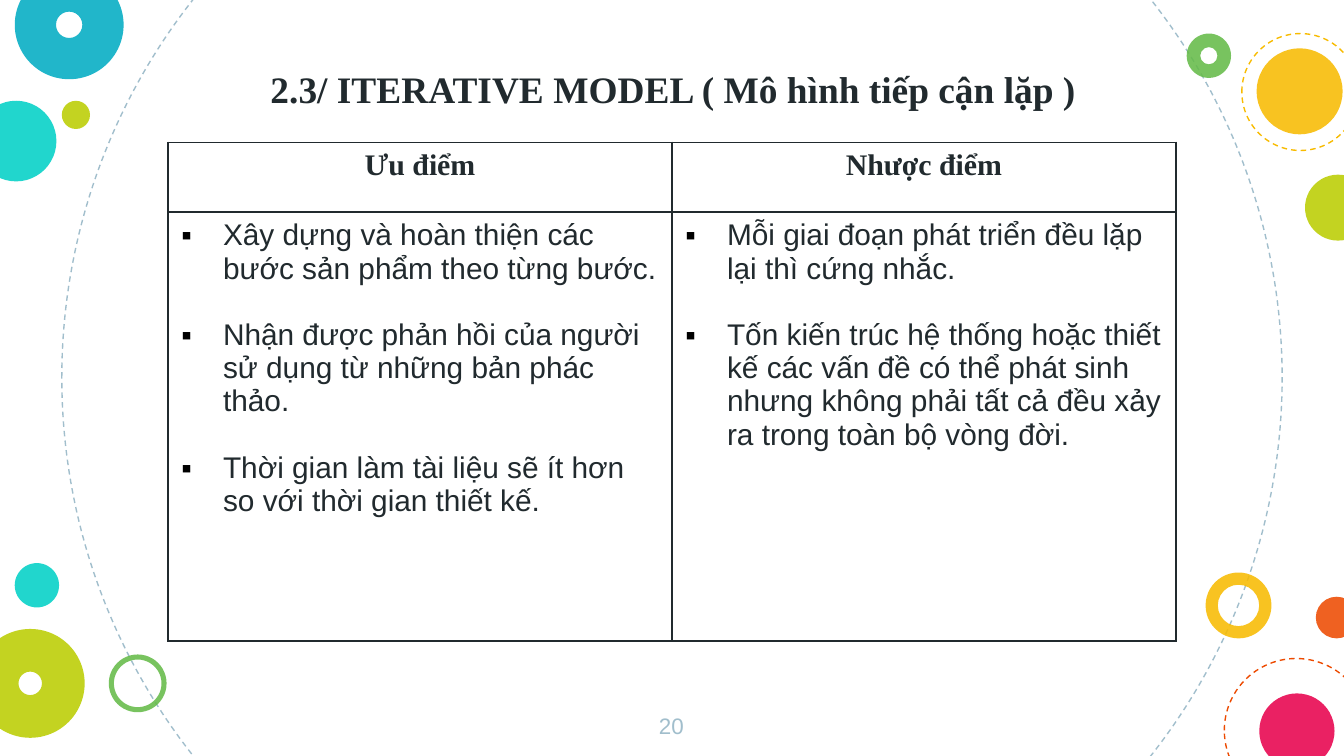
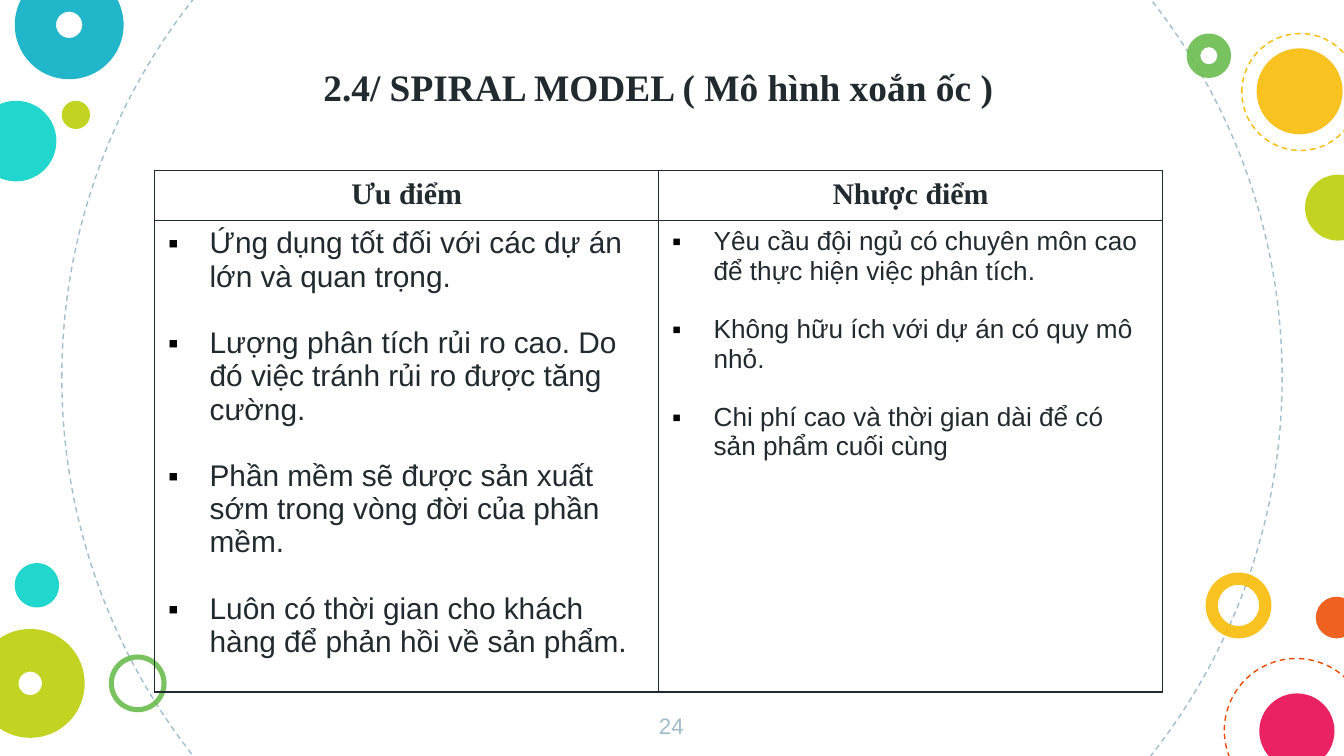
import pptx
import pptx.util
import pptx.dml.color
import pptx.enum.dml
import pptx.enum.shapes
import pptx.enum.text
import pptx.oxml
import pptx.oxml.ns
from dataclasses import dataclass

Inches, Pt = pptx.util.Inches, pptx.util.Pt
Align = pptx.enum.text.PP_ALIGN


@dataclass(frozen=True)
class Theme:
    ink: str = "212A2E"
    mist: str = "A1BECC"
    dot: str = "000000"
    aqua: str = "00D1C6"
    teal: str = "00ACC3"
    lime: str = "BBCD00"
    green: str = "65BB48"
    gold: str = "F8BB00"
    rust: str = "ED4A00"
    pink: str = "E8004C"
    serif: str = "Times New Roman"
    sans: str = "Arial"
    title: int = 20
    body: int = 16
    small: int = 14
    page: int = 12
    opaque: int = 87


T = Theme()

# Left, top, size, colour, ring width (None is a full disc), dashed outline
CIRCLES = [
    (0.46, -1.73, 9.08, T.mist, None, True),
    (-0.18, 0.75, 0.6, T.aqua, None, False),
    (8.97, 4.26, 0.49, T.gold, 0.186, False),
    (0.11, -0.22, 0.81, T.teal, 0.379, False),
    (0.46, 0.75, 0.21, T.lime, None, False),
    (9.11, 4.9, 1.07, T.rust, None, True),
    (0.81, 4.87, 0.43, T.green, 0.088, False),
    (9.79, 4.44, 0.31, T.rust, None, False),
    (-0.18, 4.68, 0.81, T.lime, 0.392, False),
    (9.37, 5.16, 0.56, T.pink, None, False),
    (8.83, 0.25, 0.33, T.green, 0.306, False),
    (9.35, 0.36, 0.64, T.gold, None, False),
    (9.71, 1.3, 0.49, T.lime, None, False),
    (9.24, 0.25, 0.87, T.gold, None, True),
    (0.11, 4.19, 0.33, T.aqua, None, False),
]

HEADS = ["Ưu điểm", "Nhược điểm"]

SLIDES = [
    dict(
        title="2.3/ ITERATIVE MODEL ( Mô hình tiếp cận lặp )",
        place=(1.25, 0.44, 7.52, 0.44),
        page="20",
        grid=(1.25, 1.06, 7.5, 3.71),
        head=0.52,
        sizes=[T.body, T.body],
        lists=[
            ["Xây dựng và hoàn thiện các bước sản phẩm theo từng bước.",
             "Nhận được phản hồi của người sử dụng từ những bản phác thảo.",
             "Thời gian làm tài liệu sẽ ít hơn so với thời gian thiết kế."],
            ["Mỗi giai đoạn phát triển đều lặp lại thì cứng nhắc.",
             "Tốn kiến trúc hệ thống hoặc thiết kế các vấn đề có thể phát sinh "
             "nhưng không phải tất cả đều xảy ra trong toàn bộ vòng đời."],
        ],
    ),
    dict(
        title="2.4/ SPIRAL MODEL ( Mô hình xoắn ốc )",
        place=(1.07, 0.43, 7.66, 0.44),
        page="24",
        grid=(1.15, 1.27, 7.5, 3.75),
        head=0.37,
        sizes=[T.body, T.small],
        lists=[
            ["Ứng dụng tốt đối với các dự án lớn và quan trọng.",
             "Lượng phân tích rủi ro cao. Do đó việc tránh rủi ro được tăng cường.",
             "Phần mềm sẽ được sản xuất sớm trong vòng đời của phần mềm.",
             "Luôn có thời gian cho khách hàng để phản hồi về sản phẩm."],
            ["Yêu cầu đội ngủ có chuyên môn cao để thực hiện việc phân tích.",
             "Không hữu ích với dự án có quy mô nhỏ.",
             "Chi phí cao và thời gian dài để có sản phẩm cuối cùng"],
        ],
    ),
]


def paint(color):
    return pptx.dml.color.RGBColor.from_string(color)


def node(xml):
    """Parse a drawing fragment whose root tag has the a: prefix."""
    tag, rest = xml[1:].split(" ", 1)
    return pptx.oxml.parse_xml(f'<{tag} {pptx.oxml.ns.nsdecls("a")} {rest}')


def mark(para):
    """Give a paragraph a square bullet and a hanging indent."""
    props = para._p.get_or_add_pPr()
    props.set("marL", str(Inches(0.31)))
    props.set("indent", str(-Inches(0.31)))
    props.append(node(f'<a:buClr ><a:srgbClr val="{T.dot}"/></a:buClr>'))
    props.append(node(f'<a:buFont typeface="{T.sans}"/>'))
    props.append(node('<a:buChar char="▪"/>'))


def write(frame, lines, size=T.body, font=T.sans, color=T.ink, bold=False,
          align=Align.CENTER, bullet=False, gap=0):
    """Write each line as a paragraph, with a gap between paragraphs."""
    frame.word_wrap = True
    for i, line in enumerate(lines):
        para = frame.paragraphs[0] if i == 0 else frame.add_paragraph()
        para.alignment = align
        if gap and i < len(lines) - 1:
            para.space_after = Pt(gap)
        if bullet:
            mark(para)
        run = para.add_run()
        run.text = line
        run.font.size, run.font.name, run.font.bold = Pt(size), font, bold
        run.font.color.rgb = paint(color)


def label(slide, box, text, inset=None, **style):
    shape = slide.shapes.add_textbox(*map(Inches, box))
    frame = shape.text_frame
    if inset is not None:
        frame.margin_left = frame.margin_right = Inches(inset)
        frame.margin_top = frame.margin_bottom = Inches(inset)
    write(frame, [text], **style)
    return frame


def circle(slide, left, top, size, color, ring, dashed):
    kinds = pptx.enum.shapes.MSO_SHAPE
    shape = slide.shapes.add_shape(
        kinds.DONUT if ring else kinds.OVAL,
        *map(Inches, (left, top, size, size)))
    shape.shadow.inherit = False
    if ring:
        shape.adjustments[0] = ring
    if dashed:
        shape.fill.background()
        shape.line.color.rgb = paint(color)
        shape.line.width = Pt(0.75)
        shape.line.dash_style = pptx.enum.dml.MSO_LINE.DASH
    else:
        shape.fill.solid()
        shape.fill.fore_color.rgb = paint(color)
        tint = shape.fill._xPr.find(".//" + pptx.oxml.ns.qn("a:srgbClr"))
        tint.append(node(f'<a:alpha val="{T.opaque * 1000}"/>'))
        shape.line.fill.background()
    return shape


def adorn(slide, layout):
    """Draw the circles once and hand them to the shared layout."""
    for holder in list(layout.placeholders):
        layout.shapes.element.remove(holder.element)
    for item in CIRCLES:
        layout.shapes.element.append(circle(slide, *item).element)


def frame_cell(cell):
    """Clear the fill and draw a thin line on all four sides."""
    cell.fill.background()
    props = cell._tc.get_or_add_tcPr()
    for i, side in enumerate("LRTB"):
        props.insert(i, node(
            f'<a:ln{side} w="{Pt(1)}"><a:solidFill><a:srgbClr val="{T.ink}"/>'
            f'</a:solidFill><a:prstDash val="solid"/></a:ln{side}>'))


def compare(slide, box, head, lists, sizes):
    """Place the table of pros and cons."""
    left, top, width, height = box
    table = slide.shapes.add_table(
        2, len(HEADS), *map(Inches, (left, top, width, height))).table
    table.horz_banding = False
    table.rows[0].height = Inches(head)
    table.rows[1].height = Inches(height - head)
    for col, (name, points, size) in enumerate(zip(HEADS, lists, sizes)):
        table.columns[col].width = Inches(width / len(HEADS))
        top_cell, low_cell = table.cell(0, col), table.cell(1, col)
        frame_cell(top_cell)
        frame_cell(low_cell)
        write(top_cell.text_frame, [name], font=T.serif, bold=True)
        # The gap equals one line of text
        write(low_cell.text_frame, points, size=size, align=Align.LEFT,
              bullet=True, gap=round(size * 1.117, 1))


def build(slide, data):
    # Page number
    label(slide, (4.74, 5.2, 0.51, 0.43), data["page"], inset=0.1,
          size=T.page, color=T.mist)
    # Table, which ends above the page number
    compare(slide, data["grid"], data["head"], data["lists"], data["sizes"])
    # Title
    frame = label(slide, data["place"], data["title"],
                  size=T.title, font=T.serif, bold=True)
    frame.auto_size = pptx.enum.text.MSO_AUTO_SIZE.SHAPE_TO_FIT_TEXT


def main():
    deck = pptx.Presentation()
    deck.slide_width = Inches(10)
    deck.slide_height = Inches(10) * 9 // 16
    layout = deck.slide_layouts[6]
    for i, data in enumerate(SLIDES):
        slide = deck.slides.add_slide(layout)
        if i == 0:
            adorn(slide, layout)
        build(slide, data)
    deck.save("out.pptx")


if __name__ == "__main__":
    main()
